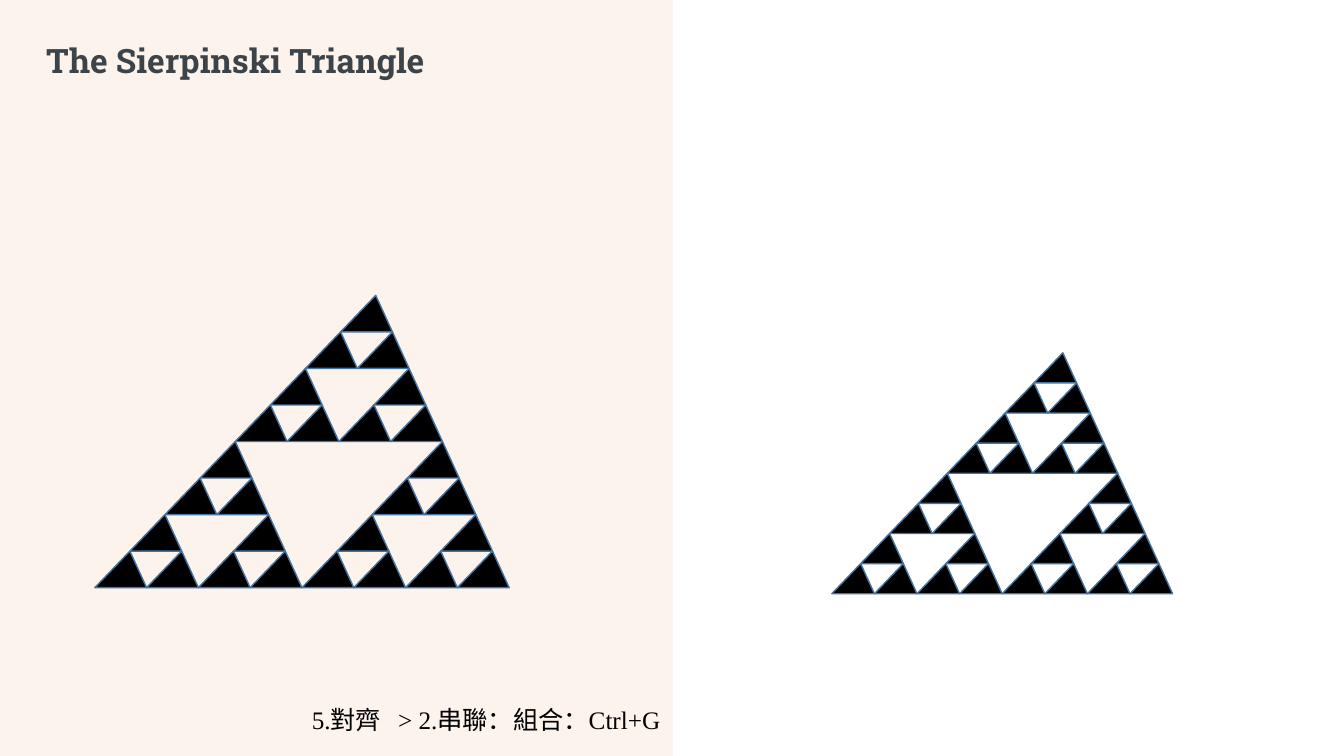
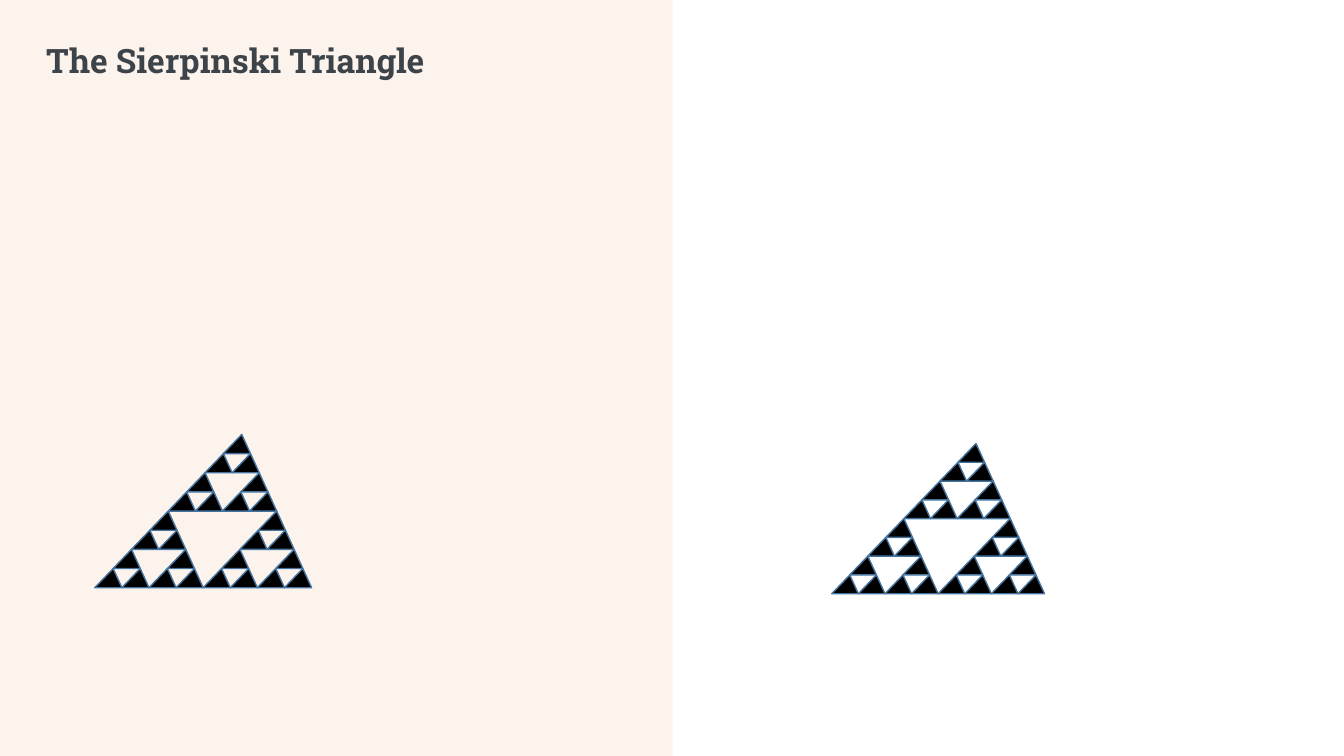
"""Build two slides of Sierpinski triangles on a split page."""
from dataclasses import dataclass

from lxml.etree import SubElement
from pptx import Presentation
from pptx.dml.color import RGBColor
from pptx.enum.shapes import MSO_CONNECTOR, MSO_SHAPE
from pptx.enum.text import MSO_ANCHOR, PP_ALIGN
from pptx.oxml.ns import qn
from pptx.shapes.autoshape import Shape
from pptx.shapes.shapetree import GroupShapes
from pptx.slide import Slide
from pptx.util import Inches, Pt

BLACK = RGBColor(0x00, 0x00, 0x00)
EDGE = RGBColor(0x43, 0x73, 0x9E)
PEACH = RGBColor(0xF4, 0xB1, 0x83)
DIVIDER = RGBColor(0xFB, 0xE5, 0xD6)
TITLE_GREY = RGBColor(0x3D, 0x44, 0x49)

PAGE_WIDTH, PAGE_HEIGHT, BAND_WIDTH = 13.33, 7.5, 6.67
APEX = 0.678
DEPTH = 3
TITLE = "The Sierpinski Triangle"
HINT = "5.對齊   > 2.串聯：組合：Ctrl+G"


@dataclass(frozen=True)
class Triangle:
    left: float
    top: float
    width: float
    height: float


@dataclass(frozen=True)
class PagePlan:
    triangles: tuple[Triangle, Triangle]
    group_level: int
    hint: str = ""


PLANS = (
    PagePlan((Triangle(0.94, 2.93, 4.11, 2.9), Triangle(8.25, 3.5, 3.38, 2.39)), 1, HINT),
    PagePlan((Triangle(0.94, 4.31, 2.15, 1.52), Triangle(8.25, 4.4, 2.11, 1.49)), 0),
)


def split_triangle(area: Triangle) -> list[Triangle]:
    width, height = area.width / 2, area.height / 2
    base = area.top + height
    return [
        Triangle(area.left, base, width, height),
        Triangle(area.left + APEX * width, area.top, width, height),
        Triangle(area.left + width, base, width, height),
    ]


def set_alpha(element, percent: int) -> None:
    color = next(element.iter(qn("a:srgbClr")))
    SubElement(color, qn("a:alpha")).set("val", str(percent * 1000))


def write_text(box: Shape, text: str, *, font: str, size: float, color: RGBColor,
               bold: bool = False, align: PP_ALIGN = PP_ALIGN.LEFT,
               line_spacing: float = 1.0) -> None:
    frame = box.text_frame
    frame.word_wrap = True
    frame.vertical_anchor = MSO_ANCHOR.MIDDLE
    para = frame.paragraphs[0]
    para.alignment = align
    para.line_spacing = line_spacing
    span = para.add_run()
    span.text = text
    span.font.name = font
    span.font.size = Pt(size)
    span.font.bold = bold
    span.font.color.rgb = color


def draw_frame(page: Slide) -> None:
    band = page.shapes.add_shape(MSO_SHAPE.RECTANGLE, 0, 0, Inches(BAND_WIDTH), Inches(PAGE_HEIGHT))
    band.shadow.inherit = False
    band.fill.solid()
    band.fill.fore_color.rgb = PEACH
    set_alpha(band._element.spPr, 14)
    band.line.fill.background()

    divider = page.shapes.add_connector(
        MSO_CONNECTOR.STRAIGHT, Inches(BAND_WIDTH), Inches(PAGE_HEIGHT), Inches(BAND_WIDTH), 0)
    divider.line.color.rgb = DIVIDER
    divider.line.width = Pt(0.25)
    properties = divider._element.spPr
    set_alpha(properties, 50)
    SubElement(properties, qn("a:effectLst"))

    title = page.shapes.add_textbox(Inches(0.36), Inches(0.4), Inches(5.95), Inches(0.44))
    write_text(title, TITLE, font="Roboto Slab", size=24, color=TITLE_GREY, bold=True, line_spacing=0.9)


def draw_triangle(shapes: GroupShapes, area: Triangle) -> None:
    shape = shapes.add_shape(MSO_SHAPE.ISOSCELES_TRIANGLE, Inches(area.left), Inches(area.top),
                             Inches(area.width), Inches(area.height))
    shape.adjustments[0] = APEX
    shape.shadow.inherit = False
    shape.fill.solid()
    shape.fill.fore_color.rgb = BLACK
    shape.line.color.rgb = EDGE
    shape.line.width = Pt(1)


def draw_sierpinski(shapes, area: Triangle, group_level: int, level: int = 0) -> None:
    if level == DEPTH:
        draw_triangle(shapes, area)
        return
    if level == group_level:
        shapes = shapes.add_group_shape().shapes
    for corner in split_triangle(area):
        draw_sierpinski(shapes, corner, group_level, level + 1)


def draw_hint(page: Slide, text: str) -> None:
    box = page.shapes.add_shape(MSO_SHAPE.ROUNDED_RECTANGLE, Inches(2.92), Inches(6.91),
                                Inches(3.75), Inches(0.45))
    box.shadow.inherit = False
    box.fill.background()
    box.line.fill.background()
    write_text(box, text, font="Times New Roman", size=18, color=BLACK, align=PP_ALIGN.RIGHT)


def main() -> None:
    deck = Presentation()
    deck.slide_width, deck.slide_height = Inches(PAGE_WIDTH), Inches(PAGE_HEIGHT)
    for plan in PLANS:
        page = deck.slides.add_slide(deck.slide_layouts[6])
        draw_frame(page)
        for triangle in plan.triangles:
            draw_sierpinski(page.shapes, triangle, plan.group_level)
        if plan.hint:
            draw_hint(page, plan.hint)
    deck.save("out.pptx")


if __name__ == "__main__":
    main()
